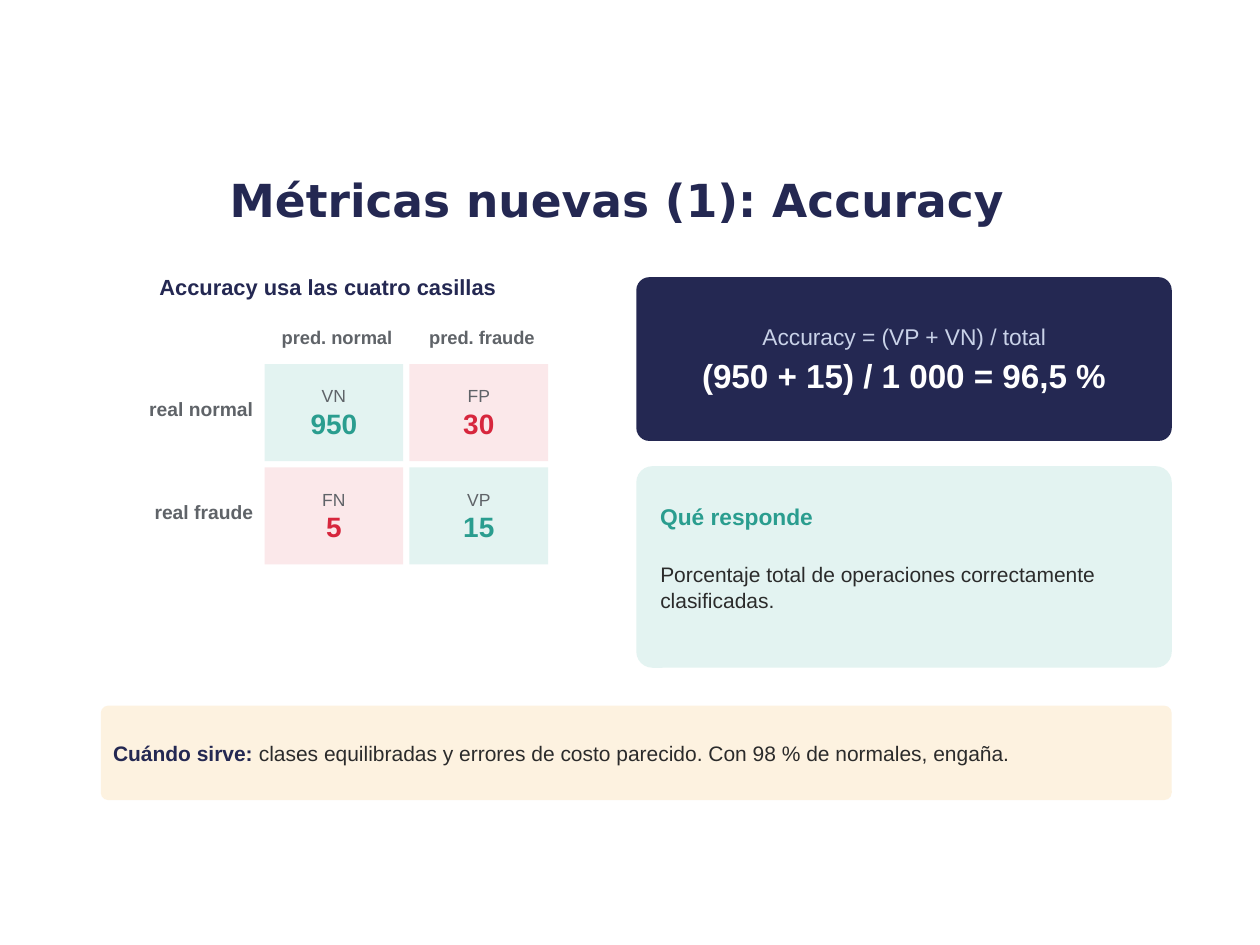
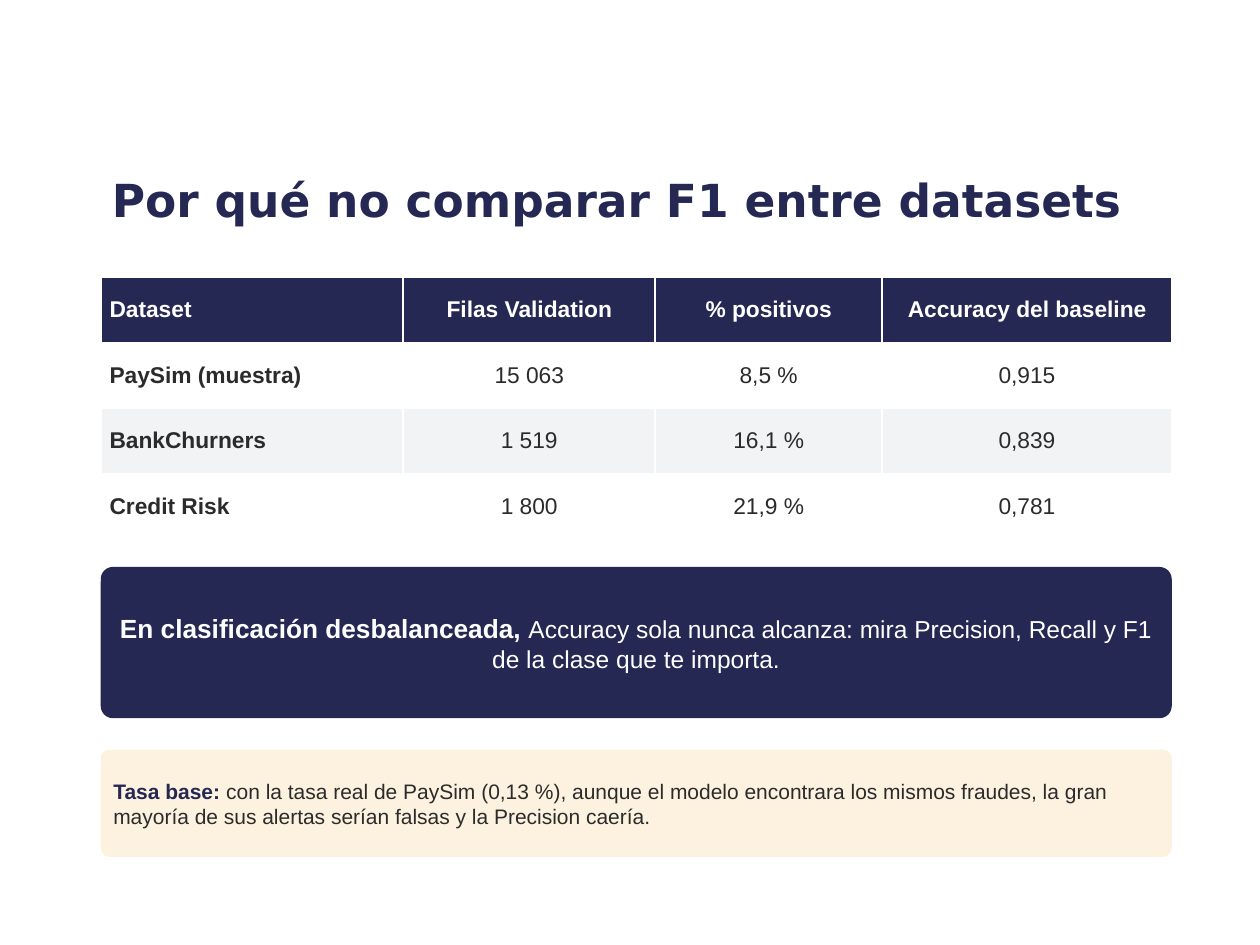
from pptx import Presentation
from pptx.dml.color import RGBColor
from pptx.enum import shapes, text
from pptx.util import Pt

NAVY = RGBColor(0x24, 0x28, 0x52)
TEAL = RGBColor(0x2A, 0x9D, 0x8F)
RED = RGBColor(0xD7, 0x26, 0x3D)
GREY = RGBColor(0x5F, 0x63, 0x68)
INK = RGBColor(0x2B, 0x2B, 0x2B)
WHITE = RGBColor(0xFF, 0xFF, 0xFF)
ICE = RGBColor(0xC9, 0xD2, 0xE8)
MINT = RGBColor(0xE3, 0xF3, 0xF1)
PINK = RGBColor(0xFB, 0xE8, 0xEA)
CREAM = RGBColor(0xFD, 0xF2, 0xE0)
STRIPE = RGBColor(0xF2, 0xF3, 0xF5)

LEFT, CENTER, RIGHT = text.PP_ALIGN.LEFT, text.PP_ALIGN.CENTER, text.PP_ALIGN.RIGHT
TOP, MIDDLE = text.MSO_ANCHOR.TOP, text.MSO_ANCHOR.MIDDLE
RECT, ROUND = shapes.MSO_SHAPE.RECTANGLE, shapes.MSO_SHAPE.ROUNDED_RECTANGLE
MARGIN, WIDTH = 57.6, 612


def add_run(p, words, size, color, bold=False, font="Arial"):
    """Append one formatted run to a paragraph."""
    r = p.add_run()
    r.text = words
    r.font.name, r.font.size, r.font.bold = font, Pt(size), bold
    r.font.color.rgb = color


def write(tf, paragraphs, align=LEFT, anchor=TOP, inset=2.88, after=0):
    """Fill a text frame with paragraphs, each a list of run arguments."""
    tf.word_wrap = True
    tf.vertical_anchor = anchor
    tf.margin_left = tf.margin_right = tf.margin_top = tf.margin_bottom = Pt(inset)
    for i, runs in enumerate(paragraphs):
        p = tf.add_paragraph() if i else tf.paragraphs[0]
        p.alignment, p.space_after = align, Pt(after)
        for run in runs:
            add_run(p, *run)


def add_label(s, box, run, align=LEFT, anchor=TOP):
    """Place a text box holding a single run."""
    sp = s.shapes.add_textbox(*map(Pt, box))
    write(sp.text_frame, [[run]], align, anchor, after=4)


def add_panel(s, box, fill, kind=ROUND):
    """Place a flat filled shape and return it."""
    sp = s.shapes.add_shape(kind, *map(Pt, box))
    sp.shadow.inherit = False
    sp.fill.solid()
    sp.fill.fore_color.rgb = fill
    sp.line.fill.background()
    if kind == ROUND:
        sp.adjustments[0] = 0.08
    return sp


def add_callout(s, box, fill, paragraphs, align=LEFT):
    """Place a rounded panel with vertically centred text."""
    sp = add_panel(s, box, fill)
    write(sp.text_frame, paragraphs, align, MIDDLE, 5.76, 3)


def add_note(s, top, height, lead, body):
    """Place the full-width cream note with a bold lead."""
    add_callout(s, (MARGIN, top, WIDTH, height), CREAM,
                [[(lead, 12, NAVY, True), (body, 12, INK)]])


def add_title(s, words):
    """Place the slide title."""
    sp = s.shapes.add_textbox(Pt(54), Pt(85), Pt(597.6), Pt(57.6))
    write(sp.text_frame, [[(words, 26, NAVY, True, "DejaVu Sans")]], CENTER, MIDDLE, 3.6)


def add_confusion_matrix(s, box):
    """Draw the headed two by two confusion matrix inside a box."""
    x, y, w, h = box
    gap, cell_w, cell_h = 3.6, 79.2, 55.44
    grid_x, grid_y = x + 93.6, y + 54.72
    cells = [[("VN", "950"), ("FP", "30")], [("FN", "5"), ("VP", "15")]]
    add_label(s, (x, y, w, 27.36), ("Accuracy usa las cuatro casillas", 12.5, NAVY, True), CENTER)
    for col, name in enumerate(("pred. normal", "pred. fraude")):
        pitch = cell_w + gap
        add_label(s, (grid_x + col * pitch, y + 30.24, pitch, 23),
                  (name, 10.5, GREY, True), CENTER)
    for row, name in enumerate(("real normal", "real fraude")):
        cell_y = grid_y + row * (cell_h + gap)
        add_label(s, (x, cell_y + 15.84, 90, 28.8), (name, 11, GREY, True), RIGHT)
        for col, (code, count) in enumerate(cells[row]):
            fill, color = (MINT, TEAL) if row == col else (PINK, RED)
            sp = add_panel(s, (grid_x + col * (cell_w + gap), cell_y, cell_w, cell_h), fill, RECT)
            write(sp.text_frame, [[(code, 10, GREY)], [(count, 16, color, True)]],
                  CENTER, MIDDLE, 1.44)


def add_answer_card(s, box, heading, body):
    """Draw the mint card with a heading and a short answer."""
    x, y, w, h = box
    add_panel(s, box, MINT)
    add_label(s, (x + 10.8, y + 8.64, w - 18, 39.6), (heading, 13, TEAL, True), anchor=MIDDLE)
    add_label(s, (x + 10.8, y + 51.84, w - 21.6, 57.6), (body, 12, INK))


def add_dataset_table(s, box):
    """Draw the dataset comparison table."""
    rows = [("Dataset", "Filas Validation", "% positivos", "Accuracy del baseline"),
            ("PaySim (muestra)", "15 063", "8,5 %", "0,915"),
            ("BankChurners", "1 519", "16,1 %", "0,839"),
            ("Credit Risk", "1 800", "21,9 %", "0,781")]
    table = s.shapes.add_table(len(rows), len(rows[0]), *map(Pt, box)).table
    for column, width in zip(table.columns, (172.8, 144, 129.6, 165.6)):
        column.width = Pt(width)
    for i, row in enumerate(rows):
        for j, words in enumerate(row):
            cell = table.cell(i, j)
            cell.fill.solid()
            cell.fill.fore_color.rgb = STRIPE if i == 2 else WHITE if i else NAVY
            cell.vertical_anchor = MIDDLE
            cell.margin_left = cell.margin_right = Pt(5.04)
            cell.margin_top = cell.margin_bottom = Pt(2.16)
            p = cell.text_frame.paragraphs[0]
            p.alignment = CENTER if j else LEFT
            add_run(p, words, 13, INK if i else WHITE, i == 0 or j == 0)


def build_accuracy_slide(s):
    """Build the slide on the accuracy metric."""
    add_title(s, "Métricas nuevas (1): Accuracy")
    add_confusion_matrix(s, (MARGIN, 153.36, 259.2, 169.2))
    add_callout(s, (363.6, 158.4, 306, 93.6), NAVY,
                [[("Accuracy = (VP + VN) / total", 13, ICE)],
                 [("(950 + 15) / 1 000 = 96,5 %", 19, WHITE, True)]], CENTER)
    add_answer_card(s, (363.6, 266.4, 306, 115.2), "Qué responde",
                    "Porcentaje total de operaciones correctamente clasificadas.")
    add_note(s, 403.2, 54, "Cuándo sirve: ",
             "clases equilibradas y errores de costo parecido. Con 98 % de normales, engaña.")


def build_comparison_slide(s):
    """Build the slide on comparing F1 between datasets."""
    add_title(s, "Por qué no comparar F1 entre datasets")
    add_dataset_table(s, (MARGIN, 158.4, WIDTH, 149.76))
    add_callout(s, (MARGIN, 324, WIDTH, 86.4), NAVY,
                [[("En clasificación desbalanceada, ", 15, WHITE, True),
                  ("Accuracy sola nunca alcanza: mira Precision, Recall y F1 "
                   "de la clase que te importa.", 14, WHITE)]], CENTER)
    add_note(s, 428.4, 61.2, "Tasa base: ",
             "con la tasa real de PaySim (0,13 %), aunque el modelo encontrara los mismos "
             "fraudes, la gran mayoría de sus alertas serían falsas y la Precision caería.")


def main():
    """Build and save the presentation."""
    prs = Presentation()
    prs.slide_width, prs.slide_height = Pt(720), Pt(540)
    for build in (build_accuracy_slide, build_comparison_slide):
        build(prs.slides.add_slide(prs.slide_layouts[6]))
    prs.save("out.pptx")


if __name__ == "__main__":
    main()
